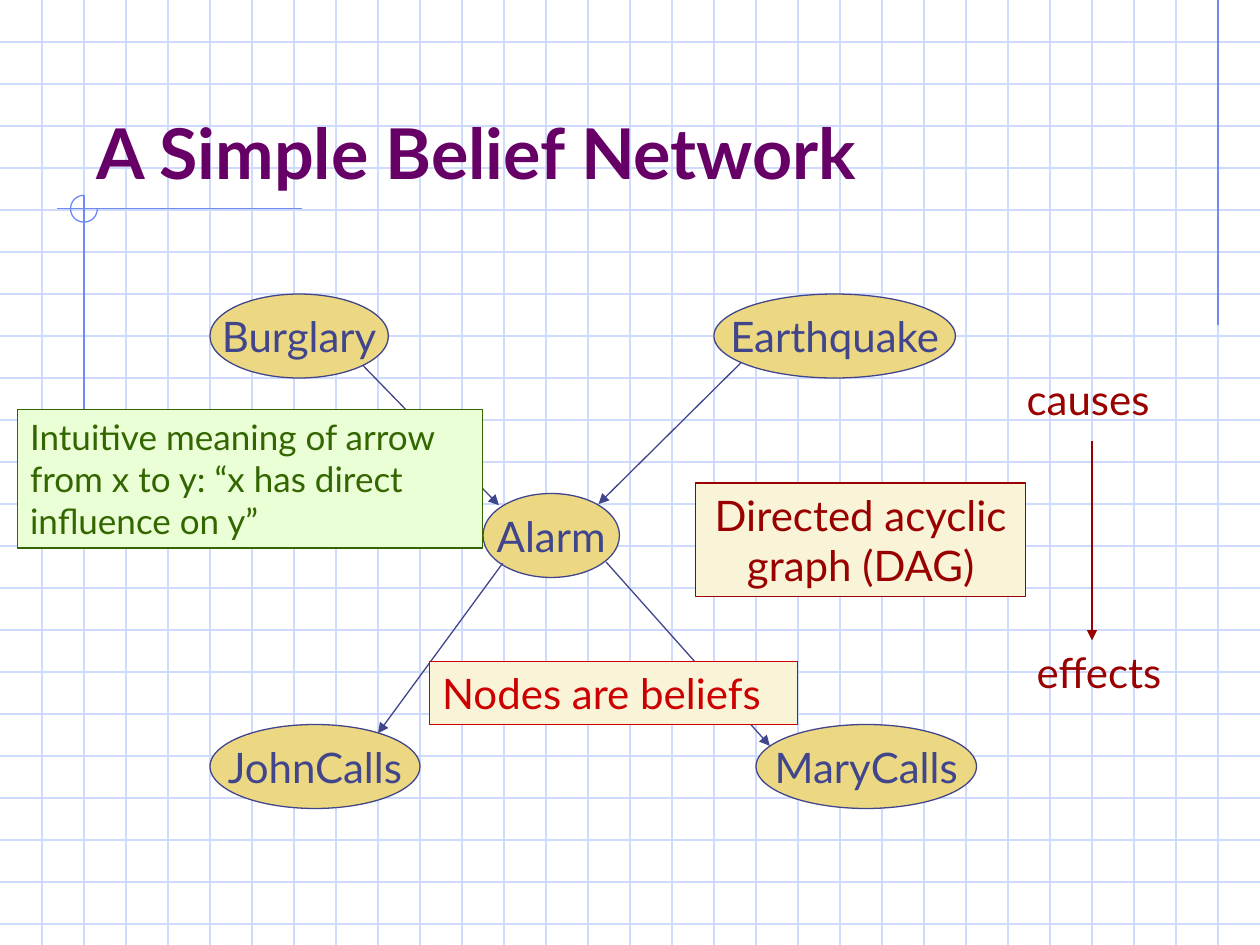
from dataclasses import dataclass
from pptx import Presentation
from pptx.dml.color import RGBColor as RGB
from pptx.enum.shapes import MSO_CONNECTOR as CONN, MSO_SHAPE as SHAPE
from pptx.enum.text import MSO_ANCHOR as ANCHOR, PP_ALIGN as ALIGN
from pptx.oxml.ns import qn
from pptx.util import Inches, Pt
from lxml.etree import SubElement

COLS, ROWS = 30, 22.5  # background squares, three to the inch


@dataclass(frozen=True)
class Theme:
    font: str = "Lato"
    title_size: int = 40
    body_size: int = 24
    note_size: int = 20
    rule: float = 0.75
    grid: str = "CFDBFD"
    accent: str = "6F89F7"
    title: str = "660066"
    ink: str = "40458C"
    node: str = "ECD882"
    red: str = "990000"
    bright: str = "CC0000"
    cream: str = "F9F3D7"
    green: str = "336600"
    mint: str = "EAFFD5"


T = Theme()


def cells(n):
    return Inches(n / 3)


def place(origin, x, y):
    return cells(origin[0] + x), cells(origin[1] + y)


def set_line(line, color):
    line.color.rgb = RGB.from_string(color)
    line.width = Pt(T.rule)


def add_line(s, origin, start, end, color, arrow=False):
    c = s.shapes.add_connector(CONN.STRAIGHT, *place(origin, *start),
                               *place(origin, *end))
    set_line(c.line, color)
    if arrow:
        SubElement(c.line._get_or_add_ln(), qn("a:tailEnd"), type="triangle")
    SubElement(c._element.spPr, qn("a:effectLst"))


def add_text(sp, text, color, size=T.body_size, bold=False, align=ALIGN.LEFT,
             anchor=ANCHOR.TOP, wrap=True):
    tf = sp.text_frame
    tf.word_wrap, tf.vertical_anchor = wrap, anchor
    tf.text = text
    font = {"name": T.font, "size": Pt(size), "bold": bold}
    for p in tf.paragraphs:
        p.alignment = align
        for r in p.runs:
            for key, value in font.items():
                setattr(r.font, key, value)
            r.font.color.rgb = RGB.from_string(color)


def add_label(s, origin, box, text, color, **fmt):
    x, y, w, h = box
    sp = s.shapes.add_textbox(*place(origin, x, y), cells(w), cells(h))
    add_text(sp, text, color, **fmt)


def add_box(s, origin, box, kind, line, fill=None):
    x, y, w, h = box
    sp = s.shapes.add_shape(kind, *place(origin, x, y), cells(w), cells(h))
    sp.shadow.inherit = False
    set_line(sp.line, line)
    if fill:
        sp.fill.solid()
        sp.fill.fore_color.rgb = RGB.from_string(fill)
    else:
        sp.fill.background()
    return sp


def backdrop(s, origin):
    # Squared paper
    for row in range(1, int(ROWS) + 1):
        add_line(s, origin, (0, row), (COLS, row), T.grid)
    for col in range(1, COLS):
        add_line(s, origin, (col, 0), (col, ROWS), T.grid)
    # Margin rule on the right
    add_line(s, origin, (29, 0), (29, 7.75), T.accent)


def crosshair(s, center):
    radius = 0.32
    add_line(s, center, (5.2, 0), (-0.65, 0), T.accent)
    add_line(s, center, (0, -radius), (0, 7.3), T.accent)
    # Three-quarter ring, clockwise from the right to the top
    ring = add_box(s, center, (-radius, -radius, 2 * radius, 2 * radius),
                   SHAPE.ARC, T.accent)
    ring.adjustments[0], ring.adjustments[1] = 0, 162


def heading(s, origin):
    add_label(s, origin, (0, 0, 25.5, 3.75), "A Simple Belief Network", T.title,
              size=T.title_size, bold=True, anchor=ANCHOR.BOTTOM)


def network(s, origin):
    # Nodes: column, row, width
    nodes = {
        "Burglary": (0, 0, 4.25),
        "Earthquake": (12, 0, 5.75),
        "Alarm": (6.5, 4.75, 3.25),
        "MaryCalls": (13, 10.25, 5.25),
        "JohnCalls": (0, 10.25, 5),
    }
    for name, (x, y, w) in nodes.items():
        sp = add_box(s, origin, (x, y, w, 2), SHAPE.OVAL, T.ink, T.node)
        add_text(sp, name, T.ink, align=ALIGN.CENTER, anchor=ANCHOR.MIDDLE,
                 wrap=False)
    # Edges from cause to effect
    edges = [
        ((3.64, 1.7), (6.88, 5.03)),
        ((12.64, 1.64), (9.25, 5)),
        ((6.97, 6.41), (4, 10.46)),
        ((9.43, 6.38), (13.33, 10.76)),
    ]
    for start, end in edges:
        add_line(s, origin, start, end, T.ink, arrow=True)


def direction(s, origin):
    add_label(s, origin, (0.15, 0, 3.78, 1.5), "causes", T.red)
    add_label(s, origin, (0.39, 6.5, 3.72, 1.5), "effects", T.red)
    add_line(s, origin, (2, 1.75), (2, 6.5), T.red, arrow=True)


def notes(s, origin):
    callouts = [
        ((16.56, 11.5, 7.86, 2.7), "Directed acyclic\vgraph (DAG)",
         T.red, T.red, T.cream, {"align": ALIGN.CENTER}),
        ((0.42, 9.75, 11.07, 3.3),
         "Intuitive meaning of arrow\nfrom x to y: “x has direct \vinfluence on y”",
         T.green, T.green, T.mint, {"size": T.note_size}),
        ((10.23, 15.75, 8.76, 1.5), "Nodes are beliefs",
         T.bright, T.bright, T.cream, {}),
    ]
    for box, text, color, line, fill, fmt in callouts:
        sp = add_box(s, origin, box, SHAPE.RECTANGLE, line, fill)
        add_text(sp, text, color, **fmt)


def main():
    prs = Presentation()
    prs.slide_width, prs.slide_height = cells(COLS), cells(ROWS)
    s = prs.slides.add_slide(prs.slide_layouts[6])
    backdrop(s, (0, 0))
    crosshair(s, (2, 4.97))
    heading(s, (2, 1))
    network(s, (5, 7))
    direction(s, (24, 8.75))
    notes(s, (0, 0))
    prs.save("out.pptx")


if __name__ == "__main__":
    main()
